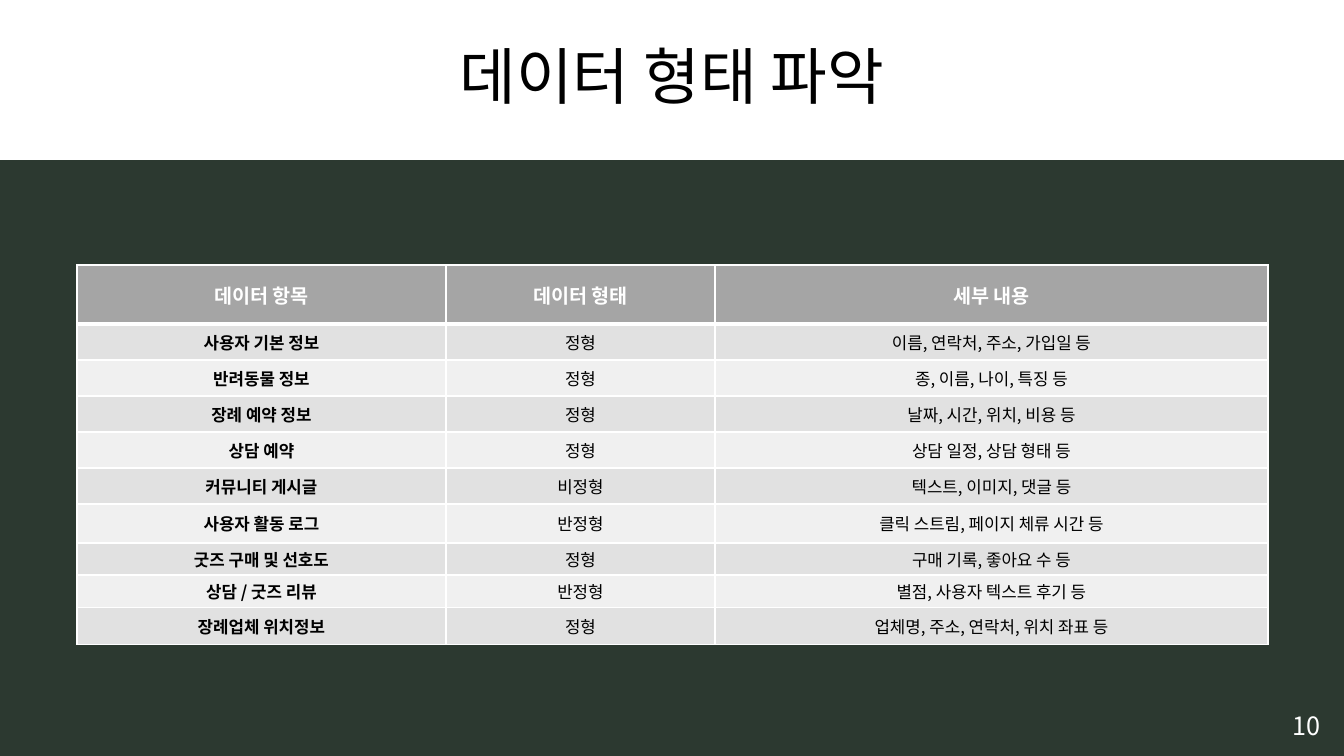
"""Build a slide with a table of data items, their types and details."""
from lxml import etree
from pptx import Presentation
from pptx.dml.color import RGBColor
from pptx.enum.text import MSO_ANCHOR as ANCHOR, MSO_AUTO_SIZE as AUTO_SIZE, PP_ALIGN as ALIGN
from pptx.oxml.ns import qn
from pptx.util import Emu, Pt

PX = 914400 / 100.8
FONT = "Noto Sans CJK KR"
GREEN = RGBColor(0x2C, 0x39, 0x30)
WHITE = RGBColor(0xFF, 0xFF, 0xFF)
BLACK = RGBColor(0, 0, 0)
HEADER_GRAY = RGBColor(0xA5, 0xA5, 0xA5)
BANDS = [RGBColor(0xF0, 0xF0, 0xF0), RGBColor(0xE1, 0xE1, 0xE1)]

COL_WIDTHS = [369, 269, 553]
ROW_HEIGHTS = [59] + [36] * 5 + [39, 32, 33, 37]
ROWS = [
    ("데이터 항목", "데이터 형태", "세부 내용"),
    ("사용자 기본 정보", "정형", "이름, 연락처, 주소, 가입일 등"),
    ("반려동물 정보", "정형", "종, 이름, 나이, 특징 등"),
    ("장례 예약 정보", "정형", "날짜, 시간, 위치, 비용 등"),
    ("상담 예약", "정형", "상담 일정, 상담 형태 등"),
    ("커뮤니티 게시글", "비정형", "텍스트, 이미지, 댓글 등"),
    ("사용자 활동 로그", "반정형", "클릭 스트림, 페이지 체류 시간 등"),
    ("굿즈 구매 및 선호도", "정형", "구매 기록, 좋아요 수 등"),
    ("상담 / 굿즈 리뷰", "반정형", "별점, 사용자 텍스트 후기 등"),
    ("장례업체 위치정보", "정형", "업체명, 주소, 연락처, 위치 좌표 등"),
]


def px(n):
    return Emu(round(n * PX))


def write(tf, text, size, color, bold=False):
    tf.text = text
    p = tf.paragraphs[0]
    p.alignment = ALIGN.CENTER
    r = p.runs[0]
    r.font.size, r.font.bold, r.font.name = Pt(size), bold, FONT
    r.font.color.rgb = color
    ea = etree.SubElement(r.font._element, qn("a:ea"))
    ea.set("typeface", FONT)
    return p


def add_title(s, text):
    title = s.shapes.title
    title.left, title.top, title.width, title.height = px(0), px(0), px(1344), px(160)
    title.fill.solid()
    title.fill.fore_color.rgb = WHITE
    tf = title.text_frame
    tf.auto_size = AUTO_SIZE.NONE
    tf.vertical_anchor = ANCHOR.MIDDLE
    write(tf, text, 44, BLACK).line_spacing = 0.9


def add_page_number(s, text):
    sp = s.shapes.add_textbox(px(1269), px(705), px(75), px(40))
    sp.text_frame.word_wrap = True
    write(sp.text_frame, text, 18, WHITE)


def add_borders(cell, widths):
    tc_pr = cell._tc.get_or_add_tcPr()
    for side, width in zip("LRTB", widths):
        ln = etree.SubElement(tc_pr, qn(f"a:ln{side}"), w=str(Pt(width)))
        fill = etree.SubElement(ln, qn("a:solidFill"))
        etree.SubElement(fill, qn("a:srgbClr"), val=str(WHITE))


def format_cell(cell, text, row, col):
    header = row == 0
    add_borders(cell, (1, 1, 3 if row == 1 else 1, 3 if header else 1))
    cell.fill.solid()
    cell.fill.fore_color.rgb = HEADER_GRAY if header else BANDS[row % 2]
    cell.vertical_anchor = ANCHOR.MIDDLE
    cell.margin_top = cell.margin_bottom = px(3)
    write(cell.text_frame, text, 14 if header else 12,
          WHITE if header else BLACK, header or col == 0)


def add_data_table(s):
    frame = s.shapes.add_table(len(ROWS), len(COL_WIDTHS), px(77), px(265),
                               px(sum(COL_WIDTHS)), px(sum(ROW_HEIGHTS)))
    table = frame.table
    for column, width in zip(table.columns, COL_WIDTHS):
        column.width = px(width)
    for i, (height, texts) in enumerate(zip(ROW_HEIGHTS, ROWS)):
        table.rows[i].height = px(height)
        for j, text in enumerate(texts):
            format_cell(table.cell(i, j), text, i, j)


def main():
    prs = Presentation()
    prs.slide_width, prs.slide_height = px(1344), px(756)
    s = prs.slides.add_slide(prs.slide_layouts[5])
    s.background.fill.solid()
    s.background.fill.fore_color.rgb = GREEN
    add_title(s, "데이터 형태 파악")
    add_page_number(s, "10")
    add_data_table(s)
    prs.save("out.pptx")


if __name__ == "__main__":
    main()
